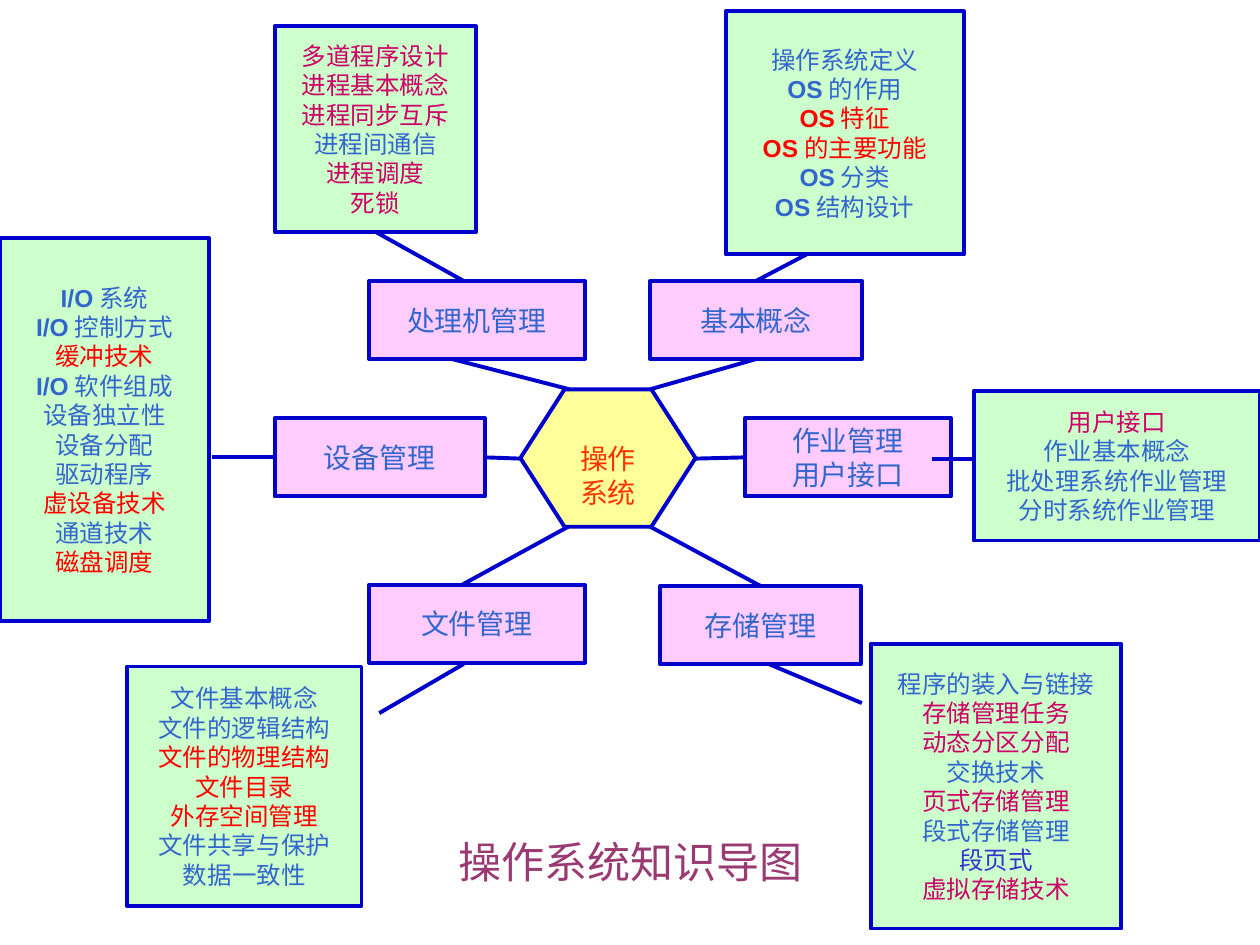
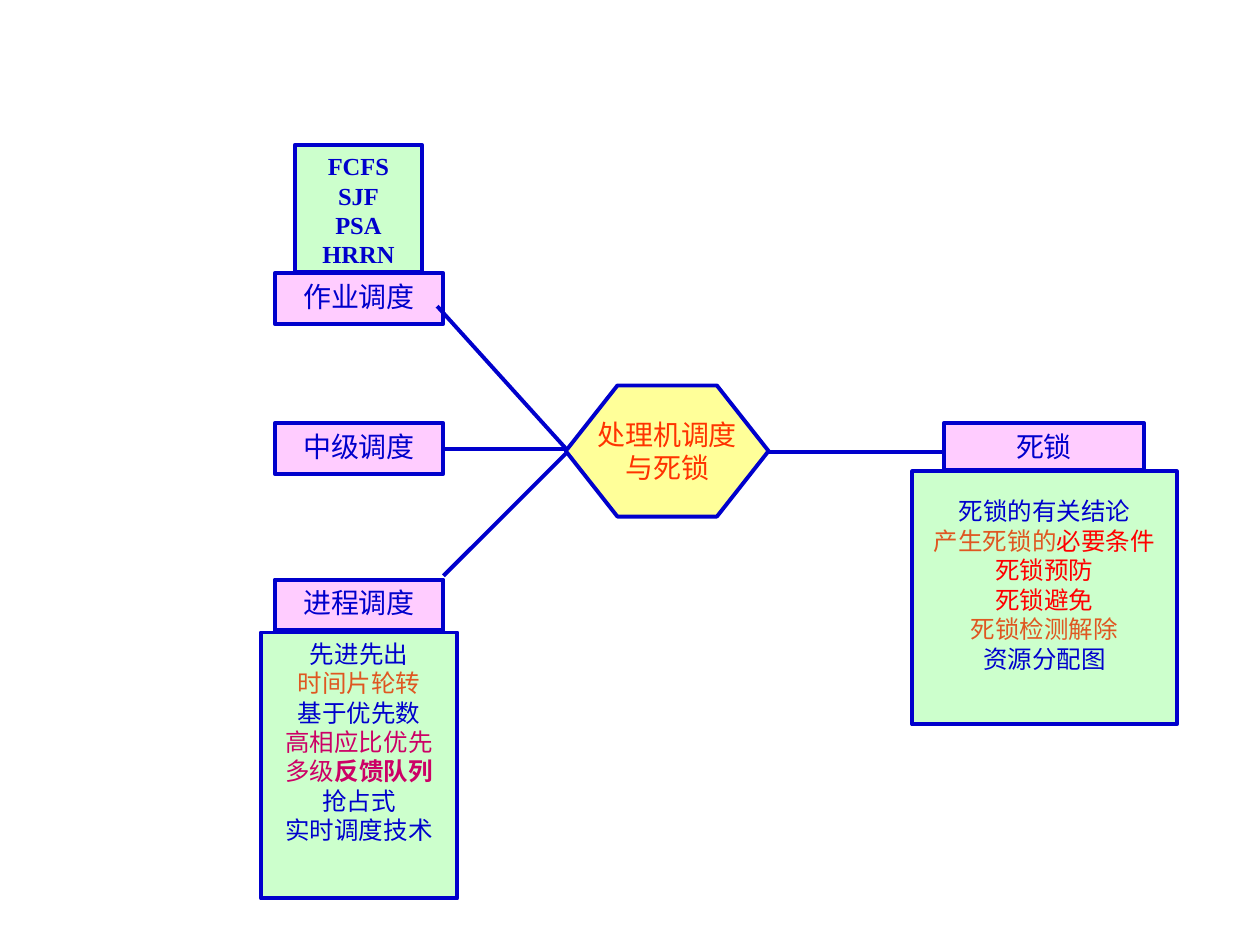
from itertools import groupby

from lxml.etree import SubElement
from pptx import Presentation
from pptx.dml.color import RGBColor
from pptx.enum.shapes import MSO_CONNECTOR, MSO_SHAPE
from pptx.enum.text import MSO_ANCHOR, MSO_AUTO_SIZE, PP_ALIGN
from pptx.oxml.ns import qn
from pptx.util import Inches, Pt

NAVY = RGBColor(0x00, 0x00, 0xCC)
INDIGO = RGBColor(0x33, 0x33, 0xCC)
BLUE = RGBColor(0x33, 0x66, 0xCC)
RED = RGBColor(0xFF, 0x00, 0x00)
SCARLET = RGBColor(0xFF, 0x33, 0x00)
ORANGE = RGBColor(0xDF, 0x57, 0x21)
MAGENTA = RGBColor(0xCC, 0x00, 0x66)
PLUM = RGBColor(0x99, 0x3B, 0x72)
YELLOW = RGBColor(0xFF, 0xFF, 0x99)
PINK = RGBColor(0xFF, 0xCC, 0xFF)
GREEN = RGBColor(0xCC, 0xFF, 0xCC)

CJK, SANS, SERIF, TITLE_FONT = "Noto Sans CJK SC", "Arial", "Times New Roman", "Cabin"
LINE_WIDTH = Pt(2.25)
LINE_PITCH = 1.2
INSET = 0.05
TOP, LEFT, BOTTOM, RIGHT = range(4)


def lines(color, *texts):
    """Return one single-run paragraph per text, all in one colour."""
    return [[(text, color)] for text in texts]


def add_run(p, text, color, size, font=CJK, bold=False):
    r = p.add_run()
    r.text = text
    r.font.color.rgb = color
    for name, value in {"name": font, "size": Pt(size), "bold": bold}.items():
        setattr(r.font, name, value)
    SubElement(r._r.get_or_add_rPr(), qn("a:ea")).set("typeface", CJK)


def write(tf, paragraphs, size, latin=SANS, anchor=MSO_ANCHOR.MIDDLE, extra_top=0):
    """Fill a text frame; Latin stretches are bold in the latin font."""
    frame_format = {
        "word_wrap": True, "auto_size": MSO_AUTO_SIZE.NONE, "vertical_anchor": anchor,
        "margin_left": Inches(INSET), "margin_right": Inches(INSET),
        "margin_top": Inches(INSET + extra_top), "margin_bottom": Inches(INSET),
    }
    for name, value in frame_format.items():
        setattr(tf, name, value)
    for i, runs in enumerate(paragraphs):
        p = tf.add_paragraph() if i else tf.paragraphs[0]
        p.alignment = PP_ALIGN.CENTER
        p.line_spacing = Pt(size * LINE_PITCH)
        for text, color, *bold in runs:
            for is_latin, chars in groupby(text, str.isascii):
                strong = is_latin or bool(bold)
                add_run(p, "".join(chars), color, size, latin if strong else CJK, strong)


def outline(sp, fill):
    sp.shadow.inherit = False
    sp.fill.solid()
    sp.fill.fore_color.rgb = fill
    sp.line.color.rgb = NAVY
    sp.line.width = LINE_WIDTH


def add_box(s, box, fill, paragraphs, size, **text_format):
    sp = s.shapes.add_shape(MSO_SHAPE.RECTANGLE, *map(Inches, box))
    outline(sp, fill)
    write(sp.text_frame, paragraphs, size, **text_format)
    return sp


def add_topic(s, box, color, *texts, **text_format):
    return add_box(s, box, PINK, lines(color, *texts), 16, **text_format)


def add_details(s, box, paragraphs, **text_format):
    return add_box(s, box, GREEN, paragraphs, 14, **text_format)


def add_hub(s, box, shoulder, texts, extra_top=0):
    """Add the central hexagon, whose flat top starts a shoulder in from each side."""
    x, y, w, h = box
    points = [(x + shoulder, y), (x, y + h / 2), (x + shoulder, y + h),
              (x + w - shoulder, y + h), (x + w, y + h / 2), (x + w - shoulder, y)]
    points = [(Inches(px), Inches(py)) for px, py in points]
    builder = s.shapes.build_freeform(*points[0])
    builder.add_line_segments(points[1:], close=True)
    sp = builder.convert_to_shape()
    outline(sp, YELLOW)
    write(sp.text_frame, lines(SCARLET, *texts), 16, extra_top=extra_top)


def add_link(s, start, end):
    """Join two ends, each an (x, y) point or a (shape, side) pair."""
    glued = [not isinstance(e[0], (int, float)) for e in (start, end)]
    points = [(0, 0) if g else e for g, e in zip(glued, (start, end))]
    c = s.shapes.add_connector(MSO_CONNECTOR.STRAIGHT,
                               *(Inches(v) for point in points for v in point))
    if glued[0]:
        c.begin_connect(*start)
    if glued[1]:
        c.end_connect(*end)
    c.line.color.rgb = NAVY
    c.line.width = LINE_WIDTH
    SubElement(c._element.spPr, qn("a:effectLst"))


def set_title(s, box, text):
    title = s.shapes.title
    for name, value in zip(("left", "top", "width", "height"), box):
        setattr(title, name, Inches(value))
    tf = title.text_frame
    write(tf, [], 24.6, anchor=MSO_ANCHOR.BOTTOM)
    tf.word_wrap = False
    p = tf.paragraphs[0]
    p.alignment = PP_ALIGN.CENTER
    p.line_spacing = Pt(24.6 * LINE_PITCH)
    add_run(p, text, PLUM, 24.6, TITLE_FONT)


def build_overview(prs):
    s = prs.slides.add_slide(prs.slide_layouts[5])
    add_hub(s, (4.13, 3.09, 1.39, 1.09), 0.35, ("操作", "系统"), extra_top=0.27)

    concepts = add_topic(s, (5.16, 2.23, 1.68, 0.62), BLUE, "基本概念")
    add_topic(s, (2.93, 2.23, 1.71, 0.62), BLUE, "处理机管理")
    devices = add_topic(s, (2.18, 3.32, 1.67, 0.62), BLUE, "设备管理")
    jobs = add_topic(s, (5.91, 3.32, 1.64, 0.62), BLUE, "作业管理", "用户接口")
    memory = add_topic(s, (5.24, 4.65, 1.59, 0.62), BLUE, "存储管理")
    add_topic(s, (2.93, 4.64, 1.71, 0.62), BLUE, "文件管理")

    add_details(s, (5.76, 0.09, 1.89, 1.93),
                lines(BLUE, "操作系统定义", "OS的作用")
                + lines(RED, "OS特征", "OS的主要功能")
                + lines(BLUE, "OS分类", "OS结构设计"))
    processes = add_details(s, (2.18, 0.21, 1.6, 1.63),
                            lines(MAGENTA, "多道程序设计", "进程基本概念", "进程同步互斥")
                            + lines(BLUE, "进程间通信")
                            + lines(MAGENTA, "进程调度", "死锁"))
    add_details(s, (0, 1.89, 1.66, 3.04),
                lines(BLUE, "I/O系统", "I/O控制方式")
                + lines(RED, "缓冲技术")
                + lines(BLUE, "I/O软件组成", "设备独立性", "设备分配", "驱动程序")
                + lines(RED, "虚设备技术")
                + lines(BLUE, "通道技术")
                + lines(RED, "磁盘调度"))
    add_details(s, (1.01, 5.29, 1.86, 1.9),
                lines(BLUE, "文件基本概念", "文件的逻辑结构")
                + lines(RED, "文件的物理结构", "文件目录", "外存空间管理")
                + lines(BLUE, "文件共享与保护", "数据一致性"))
    add_details(s, (6.91, 5.11, 1.99, 2.26),
                lines(BLUE, "程序的装入与链接")
                + lines(MAGENTA, "存储管理任务", "动态分区分配")
                + lines(BLUE, "交换技术")
                + lines(MAGENTA, "页式存储管理")
                + lines(BLUE, "段式存储管理")
                + lines(INDIGO, "段页式")
                + lines(MAGENTA, "虚拟存储技术"))
    add_details(s, (7.73, 3.1, 2.27, 1.19),
                lines(MAGENTA, "用户接口")
                + lines(BLUE, "作业基本概念", "批处理系统作业管理", "分时系统作业管理"))

    links = [
        ((3.59, 2.85), (4.52, 3.09)),
        ((concepts, BOTTOM), (5.16, 3.09)),
        ((3.67, 4.64), (4.51, 4.18)),
        ((memory, TOP), (5.16, 4.18)),
        ((4.13, 3.64), (devices, RIGHT)),
        ((5.52, 3.64), (jobs, LEFT)),
        ((processes, BOTTOM), (3.68, 2.23)),
        ((6.4, 2.02), (concepts, TOP)),
        ((devices, LEFT), (1.68, 3.63)),
        ((6.1, 5.27), (6.84, 5.58)),
        ((3.68, 5.27), (3.01, 5.66)),
        ((7.4, 3.64), (7.73, 3.64)),
    ]
    for start, end in links:
        add_link(s, start, end)
    set_title(s, (3.58, 6.4, 2.85, 0.69), "操作系统知识导图")


def build_scheduling(prs):
    s = prs.slides.add_slide(prs.slide_layouts[6])
    top = {"anchor": MSO_ANCHOR.TOP}
    add_details(s, (2.07, 5.02, 1.56, 2.11),
                lines(NAVY, "先进先出")
                + lines(ORANGE, "时间片轮转")
                + lines(NAVY, "基于优先数")
                + lines(MAGENTA, "高相应比优先")
                + [[("多级", MAGENTA), ("反馈队列", MAGENTA, True)]]
                + lines(NAVY, "抢占式", "实时调度技术"), latin=SERIF, **top)
    add_details(s, (7.24, 3.74, 2.1, 2.01),
                lines(NAVY, "死锁的有关结论")
                + [[("产生死锁的", ORANGE), ("必要条件", RED)]]
                + lines(RED, "死锁预防", "死锁避免")
                + lines(ORANGE, "死锁检测解除")
                + lines(NAVY, "资源分配图"), extra_top=0.15, **top)
    add_details(s, (2.34, 1.15, 1.01, 1.01),
                lines(NAVY, "FCFS", "SJF", "PSA", "HRRN"), latin=SERIF, **top)

    add_hub(s, (4.49, 3.06, 1.61, 1.04), 0.41, ("处理机调度", "与死锁"))
    _, middle, _ = [add_topic(s, (2.18, y, 1.34, 0.4), NAVY, text, **top)
                    for y, text in ((2.17, "作业调度"), (3.36, "中级调度"), (4.6, "进程调度"))]
    add_topic(s, (7.49, 3.36, 1.59, 0.37), NAVY, "死锁", **top)

    links = [
        ((4.5, 3.57), (3.47, 2.43)),
        ((6.1, 3.59), (7.49, 3.59)),
        ((4.49, 3.6), (3.52, 4.57)),
        ((middle, RIGHT), (4.5, 3.56)),
    ]
    for start, end in links:
        add_link(s, start, end)


def main():
    prs = Presentation()
    prs.slide_width, prs.slide_height = Inches(10), Inches(7.5)
    build_overview(prs)
    build_scheduling(prs)
    prs.save("out.pptx")


if __name__ == "__main__":
    main()
